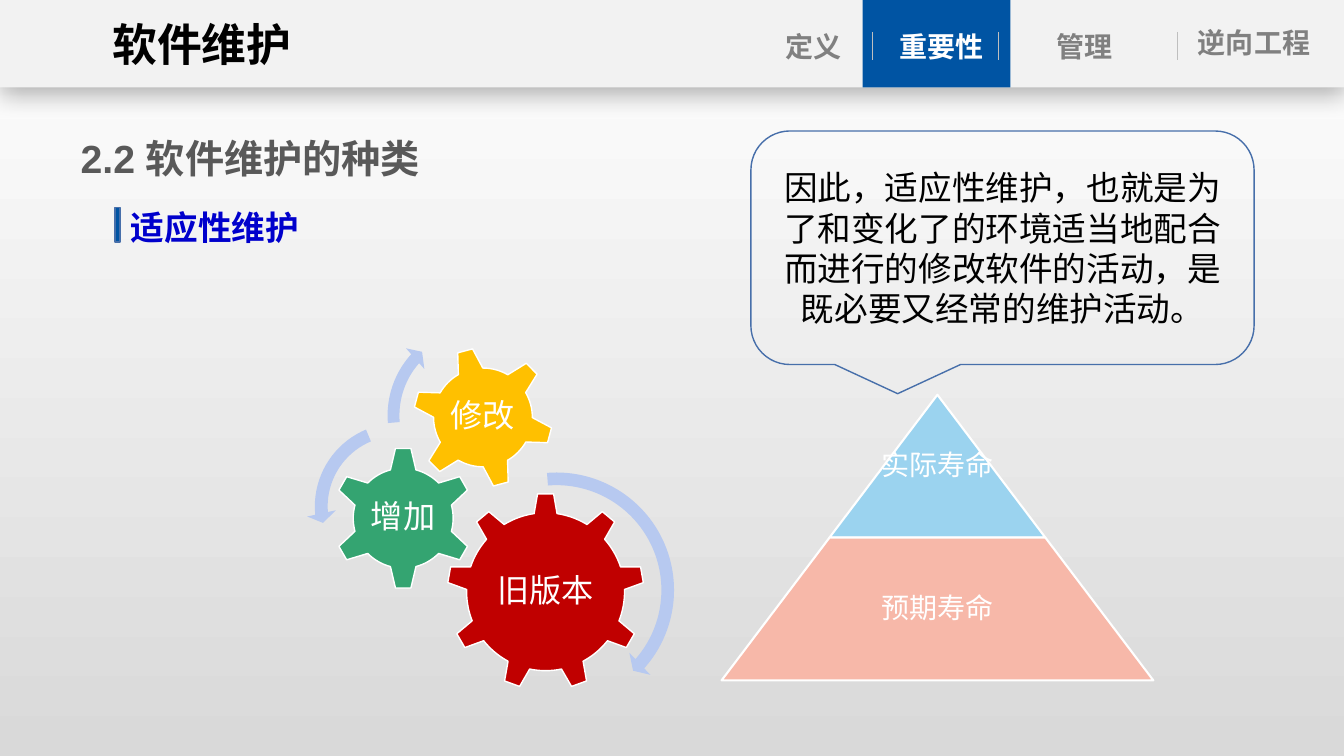
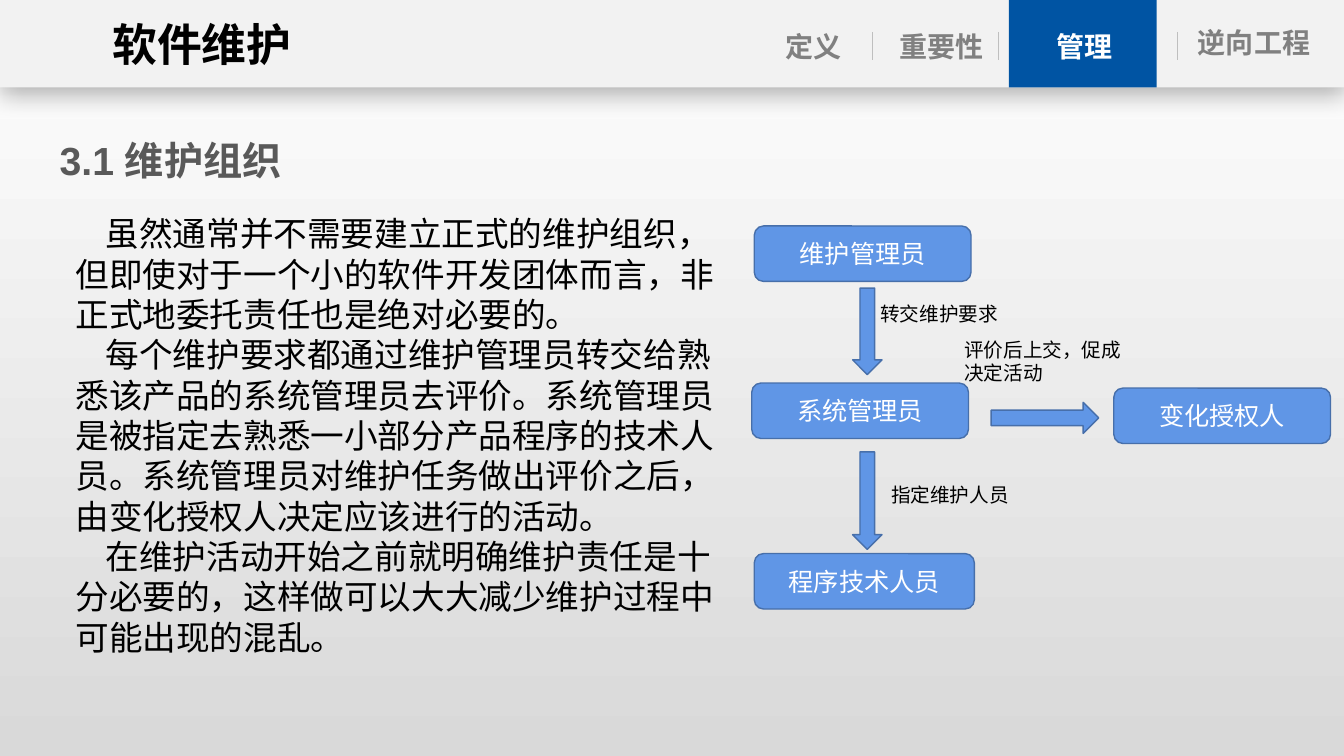
from lxml.etree import SubElement
from pptx import Presentation
from pptx.dml.color import RGBColor
from pptx.enum.shapes import MSO_CONNECTOR, MSO_SHAPE as SHAPE
from pptx.enum.text import MSO_ANCHOR as ANCHOR, MSO_AUTO_SIZE, PP_ALIGN as ALIGN
from pptx.oxml.ns import qn
from pptx.util import Inches, Pt

BLACK = RGBColor(0x00, 0x00, 0x00)
WHITE = RGBColor(0xFF, 0xFF, 0xFF)
BACKGROUND_END = RGBColor(0xD9, 0xD9, 0xD9)
BAND = RGBColor(0xF2, 0xF2, 0xF2)
DIVIDER = RGBColor(0xBF, 0xBF, 0xBF)
TAB_GRAY = RGBColor(0x80, 0x80, 0x80)
TITLE_GRAY = RGBColor(0x59, 0x59, 0x59)
NAVY = RGBColor(0x00, 0x54, 0xA3)
OUTLINE = RGBColor(0x47, 0x6F, 0xAA)
BLUE = RGBColor(0x60, 0x96, 0xE6)
TOPIC_BLUE = RGBColor(0x00, 0x00, 0xCC)
SKY = RGBColor(0x9B, 0xD3, 0xEF)
SALMON = RGBColor(0xF7, 0xB8, 0xA9)
RED = RGBColor(0xC0, 0x00, 0x00)
GREEN = RGBColor(0x34, 0xA4, 0x71)
YELLOW = RGBColor(0xFF, 0xC0, 0x00)
ARROW = RGBColor(0xB7, 0xC9, 0xF0)

LATIN_FONT, CHINESE_FONT = "Arial", "Noto Sans CJK SC"
COLUMNS, ROWS = 160, 90
TITLE_ONLY = 5
TAB_WIDTH, BAND_HEIGHT = 17.6, 10.4
# name, centre column, text row
TABS = [("定义", 96.8, 2.9), ("重要性", 112.1, 2.9),
        ("管理", 129.1, 2.9), ("逆向工程", 149.3, 2.5)]
TAB_DIVIDERS = (103.8, 118.8, 140.2)

FLUSH = {"margin_left": 0, "margin_right": 0}
TIGHT = dict.fromkeys(
    ("margin_left", "margin_right", "margin_top", "margin_bottom"), Inches(0.03))


class Deck:
    """Holds the style and the current slide; places are grid columns and rows."""

    def __init__(self):
        self.presentation = Presentation()
        self.presentation.slide_width = Inches(13.33)
        self.presentation.slide_height = Inches(7.5)
        self.slide = None
        fill = self.presentation.slide_master.background.fill
        fill.gradient()
        fill.gradient_angle = 270
        for stop, color in zip(fill.gradient_stops, (WHITE, BACKGROUND_END)):
            stop.color.rgb = color

    def grid(self, left, top, width, height):
        """Turn columns and rows into EMU."""
        column = self.presentation.slide_width / COLUMNS
        row = self.presentation.slide_height / ROWS
        return (int(left * column), int(top * row),
                int(width * column), int(height * row))

    def new_slide(self, title, title_corner, active_tab, highlight_left):
        layout = self.presentation.slide_layouts[TITLE_ONLY]
        self.slide = self.presentation.slides.add_slide(layout)
        heading = self.slide.shapes.title
        (heading.left, heading.top,
         heading.width, heading.height) = self.grid(*title_corner, 127.4, 7)
        self.set_text(heading, [title], 28, TITLE_GRAY, bold=True,
                      frame_format=FLUSH)
        self.header(active_tab, highlight_left)

    def header(self, active_tab, highlight_left):
        band = self.shape(SHAPE.RECTANGLE, (0, 0, COLUMNS, BAND_HEIGHT), BAND)
        self.drop_shadow(band)
        self.text((9.7, 1.4, 28.7, 7.7), "软件维护", 32, bold=True,
                  align=ALIGN.CENTER, frame_format=FLUSH)
        self.shape(SHAPE.RECTANGLE, (highlight_left, 0, TAB_WIDTH, BAND_HEIGHT), NAVY)
        for name, center, top in TABS:
            self.text((center - TAB_WIDTH / 2, top, TAB_WIDTH, 5.3), name, 20,
                      WHITE if name == active_tab else TAB_GRAY, bold=True,
                      align=ALIGN.CENTER, frame_format=FLUSH)
        for column in TAB_DIVIDERS:
            self.divider(column, 3.8, 7.1)

    def divider(self, column, top, bottom):
        left, start, _, end = self.grid(column, top, 0, bottom)
        line = self.slide.shapes.add_connector(
            MSO_CONNECTOR.STRAIGHT, left, start, left, end)
        line.line.color.rgb = DIVIDER
        line.line.width = Pt(0.5)
        SubElement(line._element.spPr, qn("a:effectLst"))

    def shape(self, kind, place, fill=None, outline=None, outline_width=1,
              adjustments=(), rotation=0):
        shape = self.slide.shapes.add_shape(kind, *self.grid(*place))
        shape.rotation = rotation
        for index, value in enumerate(adjustments):
            shape.adjustments[index] = value
        if fill is None:
            shape.fill.background()
        else:
            shape.fill.solid()
            shape.fill.fore_color.rgb = fill
        if outline is None:
            shape.line.fill.background()
        else:
            shape.line.color.rgb = outline
            shape.line.width = Pt(outline_width)
        shape.shadow.inherit = False
        return shape

    def drop_shadow(self, shape):
        effects = shape._element.spPr.find(qn("a:effectLst"))
        shadow = SubElement(effects, qn("a:outerShdw"), blurRad=str(Pt(18)),
                            dist=str(Pt(4)), dir="5400000", algn="t", rotWithShape="0")
        color = SubElement(shadow, qn("a:srgbClr"), val=str(BLACK))
        SubElement(color, qn("a:alpha"), val="29000")

    def text(self, place, content, size, color=BLACK, **style):
        box = self.slide.shapes.add_textbox(*self.grid(*place))
        paragraphs = [content] if isinstance(content, str) else content
        self.set_text(box, paragraphs, size, color, **style)

    def label(self, place, content, size):
        """White text centred over a drawn figure."""
        self.text(place, content, size, WHITE, align=ALIGN.CENTER,
                  anchor=ANCHOR.MIDDLE, frame_format=TIGHT, line_spacing=0.9)

    def set_text(self, shape, paragraphs, size, color, bold=False, font=LATIN_FONT,
                 align=ALIGN.LEFT, anchor=ANCHOR.TOP, frame_format=None,
                 line_spacing=None, first_indent=0):
        frame = shape.text_frame
        settings = {"word_wrap": True, "auto_size": MSO_AUTO_SIZE.NONE,
                    "vertical_anchor": anchor, **(frame_format or {})}
        for name, value in settings.items():
            setattr(frame, name, value)
        for index, content in enumerate(paragraphs):
            paragraph = frame.add_paragraph() if index else frame.paragraphs[0]
            paragraph.alignment = align
            paragraph.line_spacing = line_spacing
            if first_indent:
                paragraph._p.get_or_add_pPr().set("indent", str(Inches(first_indent)))
            run = paragraph.add_run()
            run.text = content
            for name, value in {"size": Pt(size), "bold": bold, "name": font}.items():
                setattr(run.font, name, value)
            run.font.color.rgb = color
            SubElement(run._r.get_or_add_rPr(), qn("a:ea"), typeface=CHINESE_FONT)

    def gear(self, kind, left, top, size, fill, name, rotation=0):
        place = (left, top, size, size)
        self.shape(kind, place, fill, WHITE, rotation=rotation)
        self.label(place, name, 23)

    def pyramid(self, center, top, level_width, level_height, levels):
        slope = level_width / 2 / level_height
        for index, (name, fill) in enumerate(levels):
            width = level_width * (index + 1)
            place = (center - width / 2, top + level_height * index, width, level_height)
            self.shape(SHAPE.TRAPEZOID, place, fill, WHITE, 1.5, [slope])
            self.label(place, name, 20)

    def role(self, left, top, width, name):
        box = self.shape(SHAPE.ROUNDED_RECTANGLE, (left, top, width, 6.6), BLUE, OUTLINE)
        self.set_text(box, [name], 18, WHITE, align=ALIGN.CENTER, anchor=ANCHOR.MIDDLE)


def maintenance_kinds(deck):
    deck.new_slide("2.2 软件维护的种类", (9.6, 15.4), "重要性", 102.7)
    deck.pyramid(111.6, 47, 25.7, 17, [("实际寿命", SKY), ("预期寿命", SALMON)])

    deck.gear(SHAPE.GEAR_9, 53.2, 58.7, 23.5, RED, "旧版本")
    deck.gear(SHAPE.GEAR_6, 39.5, 53.2, 17, GREEN, "增加")
    deck.gear(SHAPE.GEAR_6, 49.1, 41.3, 16.8, YELLOW, "修改", rotation=345)
    turns = [
        (SHAPE.CIRCULAR_ARROW, 51.2, 55.2, 30.1, (0.05, 2.99, 24.89, 159.22, 0.06)),
        (SHAPE.LEFT_CIRCULAR_ARROW, 36.5, 49.4, 21.8, (0.07, 4.3, 104.89, 148.38, 0.08)),
        (SHAPE.CIRCULAR_ARROW, 45.2, 37.7, 23.5, (0.06, 3.94, 133.14, 105.08, 0.07)),
    ]
    for kind, left, top, size, adjustments in turns:
        deck.shape(kind, (left, top, size, size), ARROW, adjustments=adjustments)

    callout = deck.shape(SHAPE.ROUNDED_RECTANGULAR_CALLOUT, (89.4, 15.6, 59.9, 27.8),
                         outline=OUTLINE)
    deck.set_text(callout, ["因此，适应性维护，也就是为了和变化了的环境适当地配合而进行的修改软件的活动，"
                            "是既必要又经常的维护活动。"],
                  24, BLACK, align=ALIGN.CENTER, anchor=ANCHOR.MIDDLE)

    deck.shape(SHAPE.RECTANGLE, (13.7, 24.7, 0.6, 4.1), NAVY, OUTLINE)
    deck.text((14.4, 24, 81.4, 6), "适应性维护", 24, TOPIC_BLUE, bold=True,
              font=CHINESE_FONT)


def maintenance_organization(deck):
    deck.new_slide("3.1 维护组织", (7.1, 15.6), "管理", 120.1)
    deck.text((7.8, 24.8, 79.6, 54.5), [
        "虽然通常并不需要建立正式的维护组织，但即使对于一个小的软件开发团体而言，"
        "非正式地委托责任也是绝对必要的。",
        "每个维护要求都通过维护管理员转交给熟悉该产品的系统管理员去评价。"
        "系统管理员是被指定去熟悉一小部分产品程序的技术人员。"
        "系统管理员对维护任务做出评价之后，由变化授权人决定应该进行的活动。",
        "在维护活动开始之前就明确维护责任是十分必要的，"
        "这样做可以大大减少维护过程中可能出现的混乱。",
    ], 24, first_indent=0.3)

    for role in [(89.8, 26.9, 25.8, "维护管理员"), (89.5, 45.6, 25.8, "系统管理员"),
                 (89.8, 65.9, 26.2, "程序技术人员"), (132.6, 46.2, 25.8, "变化授权人")]:
        deck.role(*role)
    steps = [
        (SHAPE.DOWN_ARROW, (101.5, 34.3, 3.5, 10.3), (103.6, 35.3, 21.5, 4.1), "转交维护要求"),
        (SHAPE.DOWN_ARROW, (101.5, 53.8, 3.5, 11.6), (104.9, 56.9, 21.5, 4.1), "指定维护人员"),
        (SHAPE.RIGHT_ARROW, (118, 47.9, 12.8, 3.7), (113.6, 39.6, 21.5, 6.8),
         "评价后上交，促成决定活动"),
    ]
    for kind, arrow_place, note_place, note in steps:
        deck.shape(kind, arrow_place, BLUE, OUTLINE)
        deck.text(note_place, note, 14)


def main():
    deck = Deck()
    maintenance_kinds(deck)
    maintenance_organization(deck)
    deck.presentation.save("out.pptx")


if __name__ == "__main__":
    main()
